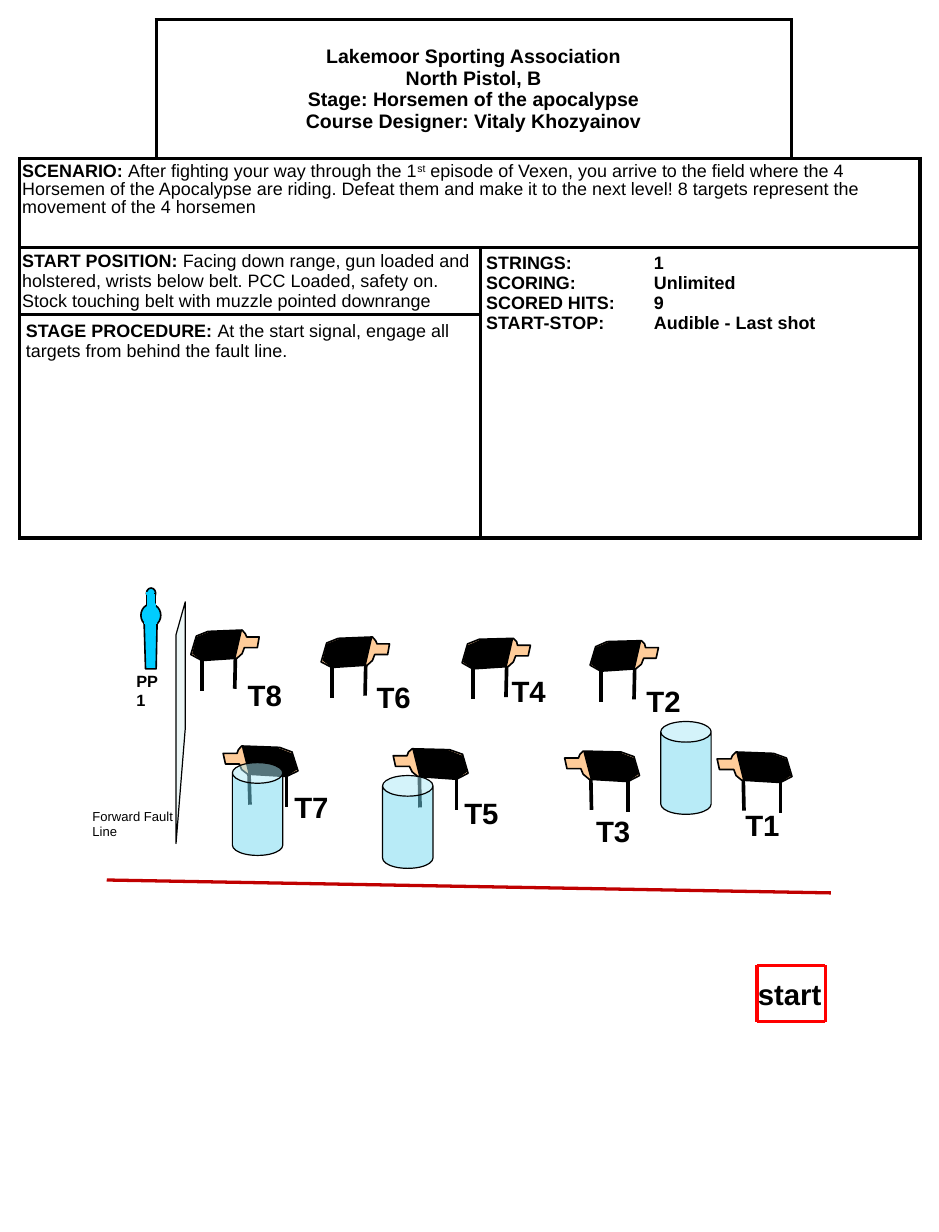
from dataclasses import dataclass
from typing import NamedTuple

from lxml import etree
from pptx import Presentation
from pptx.dml.color import RGBColor
from pptx.enum.shapes import MSO_CONNECTOR, MSO_SHAPE
from pptx.enum.text import MSO_ANCHOR, PP_ALIGN
from pptx.oxml.ns import qn
from pptx.util import Cm, Pt

LINE = MSO_CONNECTOR.STRAIGHT
OVAL, RECT, CAN = MSO_SHAPE.OVAL, MSO_SHAPE.RECTANGLE, MSO_SHAPE.CAN
LEFT, CENTER = PP_ALIGN.LEFT, PP_ALIGN.CENTER
TOP, MIDDLE = MSO_ANCHOR.TOP, MSO_ANCHOR.MIDDLE


@dataclass(frozen=True)
class Theme:
    font: str = "Arial"
    ink: str = "000000"
    paper: str = "FFFFFF"
    skin: str = "FFCC99"
    man: str = "00CCFF"
    wall: str = "BBE0E3"
    drum: str = "73D9F1"
    fault: str = "C00000"
    start: str = "FF0000"
    label: float = 18
    head: float = 12
    body: float = 11
    post: float = 10
    note: float = 8


class Run(NamedTuple):
    text: str
    bold: bool = False
    raised: bool = False


class Horse(NamedTuple):
    nose: float
    top: float
    scale: float  # negative faces right


class Label(NamedTuple):
    text: str
    x: float
    y: float


class Part(NamedTuple):
    kind: int
    box: tuple
    edge: str | None


THEME = Theme()


def inch(n: float) -> Cm:
    return Cm(round(n * 2.54, 2))


def put(frame, paras, size=THEME.label, align=LEFT, spacing=None, tab=None) -> None:
    """Write paragraphs, each a list of runs."""
    for i, runs in enumerate(paras):
        para = frame.paragraphs[0] if i == 0 else frame.add_paragraph()
        para.alignment = align
        if spacing:
            para.line_spacing = spacing
        if tab:
            stops = etree.SubElement(para._p.get_or_add_pPr(), qn("a:tabLst"))
            etree.SubElement(stops, qn("a:tab"), pos=str(inch(tab)), algn="l")
        for item in runs:
            run = para.add_run()
            run.text = item.text
            run.font.name, run.font.size = THEME.font, Pt(size)
            run.font.bold = item.bold
            run.font.color.rgb = RGBColor.from_string(THEME.ink)
            if item.raised:
                run._r.get_or_add_rPr().set("baseline", "30000")


def text(shapes, box, runs, size=THEME.label, inset=None, anchor=TOP) -> None:
    frame = shapes.add_textbox(*map(inch, box)).text_frame
    frame.word_wrap = True
    frame.vertical_anchor = anchor
    if inset is not None:
        frame.margin_left = frame.margin_right = inch(inset)
        frame.margin_top = frame.margin_bottom = inch(inset)
    put(frame, [runs], size=size)


def rule(shapes, start, end, color, width) -> None:
    line = shapes.add_connector(LINE, *map(inch, (*start, *end)))
    line.line.color.rgb = RGBColor.from_string(color)
    line.line.width = Pt(width)
    etree.SubElement(line._element.spPr, qn("a:effectLst"))


def paint(shape, fill, edge=None, width=1.0, alpha=None) -> None:
    shape.shadow.inherit = False
    shape.fill.solid()
    shape.fill.fore_color.rgb = RGBColor.from_string(fill)
    if alpha:
        color = shape._element.spPr.find(f"{qn('a:solidFill')}/{qn('a:srgbClr')}")
        etree.SubElement(color, qn("a:alpha"), val=str(alpha * 1000))
    if edge:
        shape.line.color.rgb = RGBColor.from_string(edge)
        shape.line.width = Pt(width)
    else:
        shape.line.fill.background()


def outline(shapes, points, fill, **look) -> None:
    spots = [(inch(x), inch(y)) for x, y in points]
    form = shapes.build_freeform(*spots[0], scale=1.0)
    form.add_line_segments(spots[1:], close=True)
    paint(form.convert_to_shape(), fill, **look)


# Points of a horse, measured from its nose and top
LEGS = [((.22, .13), (.23, .5)), ((.54, .23), (.54, .52))]
SKIN = [(.02, .15), (0, .06), (.12, .06), (.13, .03), (.16, 0), (.48, .01),
        (.59, .05), (.64, .21), (.54, .26), (.21, .24), (.16, .2), (.14, .15)]
COAT = [(.54, .26), (.63, .2), (.59, .06), (.46, .01), (.16, 0), (.22, .24)]


def horse(shapes, it: Horse) -> None:
    def place(points):
        return [(it.nose + x * it.scale, it.top + y) for x, y in points]

    group = shapes.add_group_shape().shapes
    for leg in LEGS:
        rule(group, *place(leg), THEME.ink, 2.25)
    outline(group, place(SKIN), THEME.skin, edge=THEME.ink)
    outline(group, place(COAT), THEME.ink)


def cell(box, edges="LRTB") -> None:
    """Border the given edges, then fill."""
    props = box._tc.get_or_add_tcPr()
    for side in "LRTB":
        line = etree.SubElement(props, qn(f"a:ln{side}"), w=str(Pt(2.25)))
        if side in edges:
            fill = etree.SubElement(line, qn("a:solidFill"))
            etree.SubElement(fill, qn("a:srgbClr"), val=THEME.ink)
        else:
            etree.SubElement(line, qn("a:noFill"))
    box.fill.solid()
    box.fill.fore_color.rgb = RGBColor.from_string(THEME.paper)


def fill(grid, first, last, paras, pad=(.05, .05), anchor=TOP, **form) -> None:
    box = grid.cell(*first)
    box.merge(grid.cell(*last))
    box.margin_left = box.margin_right = inch(pad[0])
    box.margin_top = box.margin_bottom = inch(pad[1])
    box.vertical_anchor = anchor
    put(box.text_frame, paras, **form)


HEAD = ["Lakemoor Sporting Association", "North Pistol, B",
        "Stage: Horsemen of the apocalypse", "Course Designer: Vitaly Khozyainov"]
STORY = [Run("SCENARIO: ", True), Run("After fighting your way through the 1"),
         Run("st", raised=True),
         Run(" episode of Vexen, you arrive to the field where the 4 Horsemen of the "
             "Apocalypse are riding. Defeat them and make it to the next level! "
             "8 targets represent the movement of the 4 horsemen")]
READY = [Run("START POSITION: ", True),
         Run("Facing down range, gun loaded and holstered, wrists below belt. PCC "
             "Loaded, safety on. Stock touching belt with muzzle pointed downrange")]
STEPS = [Run("STAGE PROCEDURE: ", True),
         Run("At the start signal, engage all targets from behind the fault line.")]
SCORE = ["STRINGS:\t1", "SCORING:\tUnlimited", "SCORED HITS:\t9",
         "START-STOP:\tAudible - Last shot"]
LABELS = [Label("T1", 6.25, 6.83), Label("T2", 5.41, 5.77), Label("T3", 4.98, 6.88),
          Label("T4", 4.26, 5.69), Label("T5", 3.86, 6.73), Label("T6", 3.11, 5.74),
          Label("T7", 2.41, 6.68), Label("T8", 2.01, 5.72)]
HORSES = [Horse(1.9, 6.36, 1), Horse(2.21, 5.37, -.91), Horse(3.35, 6.38, 1),
          Horse(4.81, 6.4, 1), Horse(6.11, 6.41, 1), Horse(3.32, 5.43, -.91),
          Horse(4.52, 5.44, -.91), Horse(5.61, 5.46, -.91)]
LEGGED = [(1.23, 5.31), (1.34, 5.31), (1.33, 5.7), (1.24, 5.7)]
UPPER = [Part(OVAL, (1.25, 5.01, .08, .09), THEME.ink),
         Part(OVAL, (1.2, 5.15, .17, .19), THEME.ink)]
JOINTS = [Part(RECT, (1.25, 5.06, .08, .1), THEME.ink),
          Part(RECT, (1.23, 5.3, .11, .02), None),
          Part(RECT, (1.26, 5.15, .06, .02), THEME.man),
          Part(RECT, (1.25, 5.05, .06, .01), THEME.man)]
WALL = [(1.58, 6.21), (1.5, 7.19), (1.5, 5.41), (1.58, 5.13)]
DRUMS = [(1.98, 6.5), (5.63, 6.15), (3.26, 6.61)]


def main() -> None:
    deck = Presentation()
    deck.slide_width, deck.slide_height = inch(8), inch(10.5)
    shapes = deck.slides.add_slide(deck.slide_layouts[6]).shapes

    # Stage brief
    grid = shapes.add_table(4, 4, *map(inch, (.17, .17, 7.67, 4.33))).table
    grid.first_row = grid.horz_banding = False
    for col, width in zip(grid.columns, (1.16, 2.76, 2.65, 1.1)):
        col.width = inch(width)
    for row, height in zip(grid.rows, (1.18, .76, .49, 1.9)):
        row.height = inch(height)
    corners = {(0, 0): "RB", (0, 3): "LB"}
    for r in range(4):
        for c in range(4):
            cell(grid.cell(r, c), corners.get((r, c), "LRTB"))
    fill(grid, (0, 1), (0, 2), [[Run(t, True)] for t in HEAD], anchor=MIDDLE,
         size=THEME.head, align=CENTER)
    fill(grid, (1, 0), (1, 3), [STORY], (.02, .04), size=THEME.body, spacing=.9)
    fill(grid, (2, 0), (2, 1), [READY], (.02, .03), size=THEME.body)
    fill(grid, (2, 2), (3, 3), [[Run(t, True)] for t in SCORE],
         size=THEME.body, tab=1.43)
    fill(grid, (3, 0), (3, 1), [STEPS], size=THEME.body)

    # Target labels
    for it in LABELS:
        text(shapes, (it.x, it.y, .58, .4), [Run(it.text, True)])

    # Start box
    group = shapes.add_group_shape().shapes
    ring = [(6.45, 8.23), (7.03, 8.23), (7.03, 8.71), (6.45, 8.71)]
    for start, end in zip(ring, ring[1:] + ring[:1]):
        rule(group, start, end, THEME.start, 2)
    text(group, (6.36, 8.27, .86, .4), [Run("start", True)])

    # Horses
    for it in HORSES:
        horse(shapes, it)

    # Shooter
    text(shapes, (1.16, 5.72, .25, .33), [Run("PP1", True)], THEME.post, 0, MIDDLE)
    group = shapes.add_group_shape().shapes
    for part in UPPER + JOINTS:
        if part is JOINTS[0]:
            outline(group, LEGGED, THEME.man, edge=THEME.ink)
        shape = group.add_shape(part.kind, *map(inch, part.box))
        paint(shape, THEME.man, part.edge)

    # Fault line, wall and drums
    rule(shapes, (7.08, 7.61), (.91, 7.5), THEME.fault, 2)
    text(shapes, (.69, 6.84, 1.04, .37), [Run("Forward Fault Line")], THEME.note)
    outline(shapes, WALL, THEME.wall, edge=THEME.ink, width=.75, alpha=25)
    for x, y in DRUMS:
        drum = shapes.add_shape(CAN, *map(inch, (x, y, .43, .79)))
        drum.adjustments[0] = .41
        paint(drum, THEME.drum, THEME.ink, .75, 50)

    deck.save("out.pptx")


if __name__ == "__main__":
    main()
